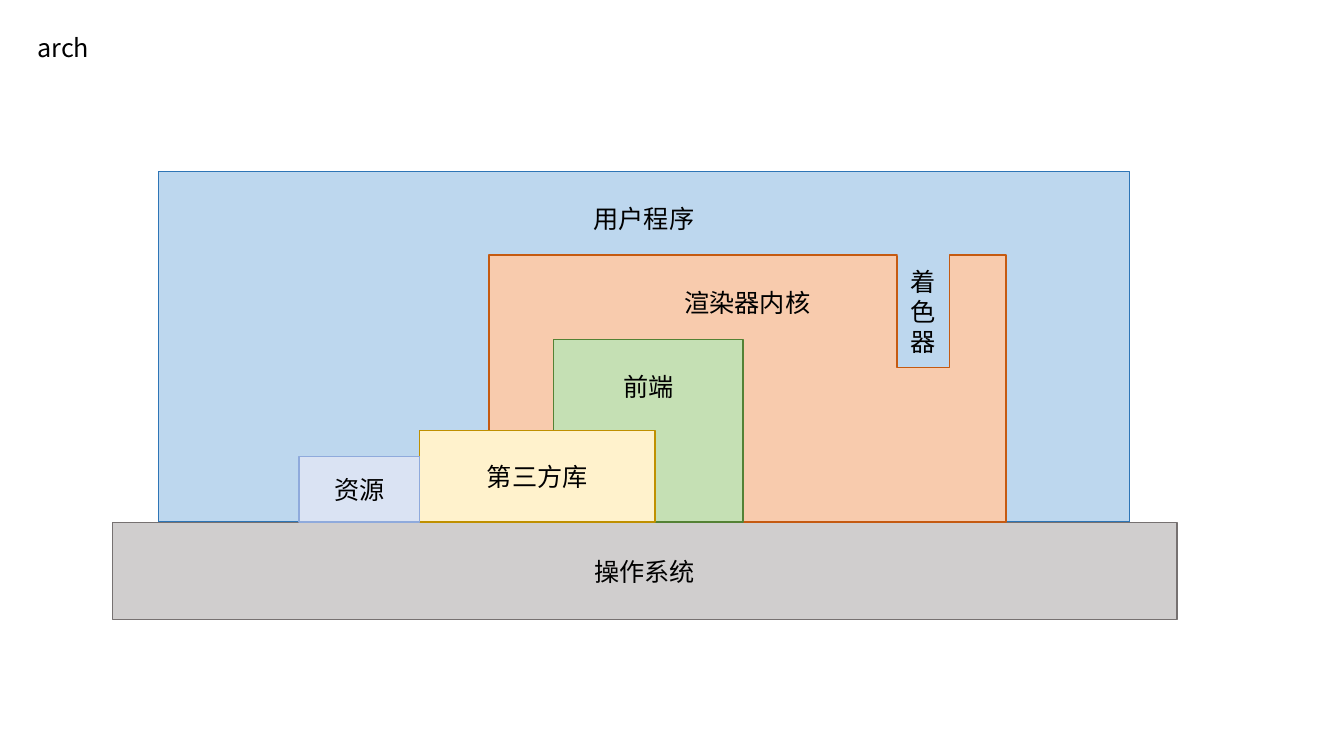
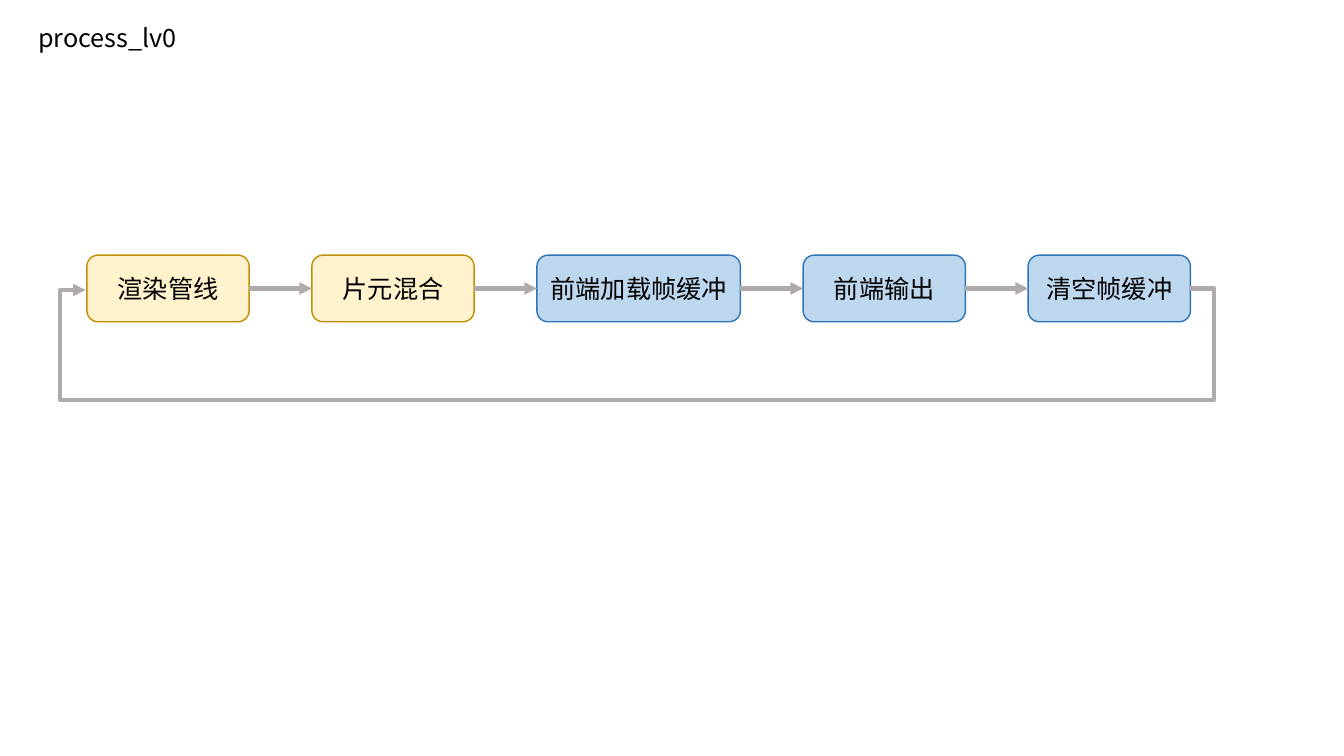
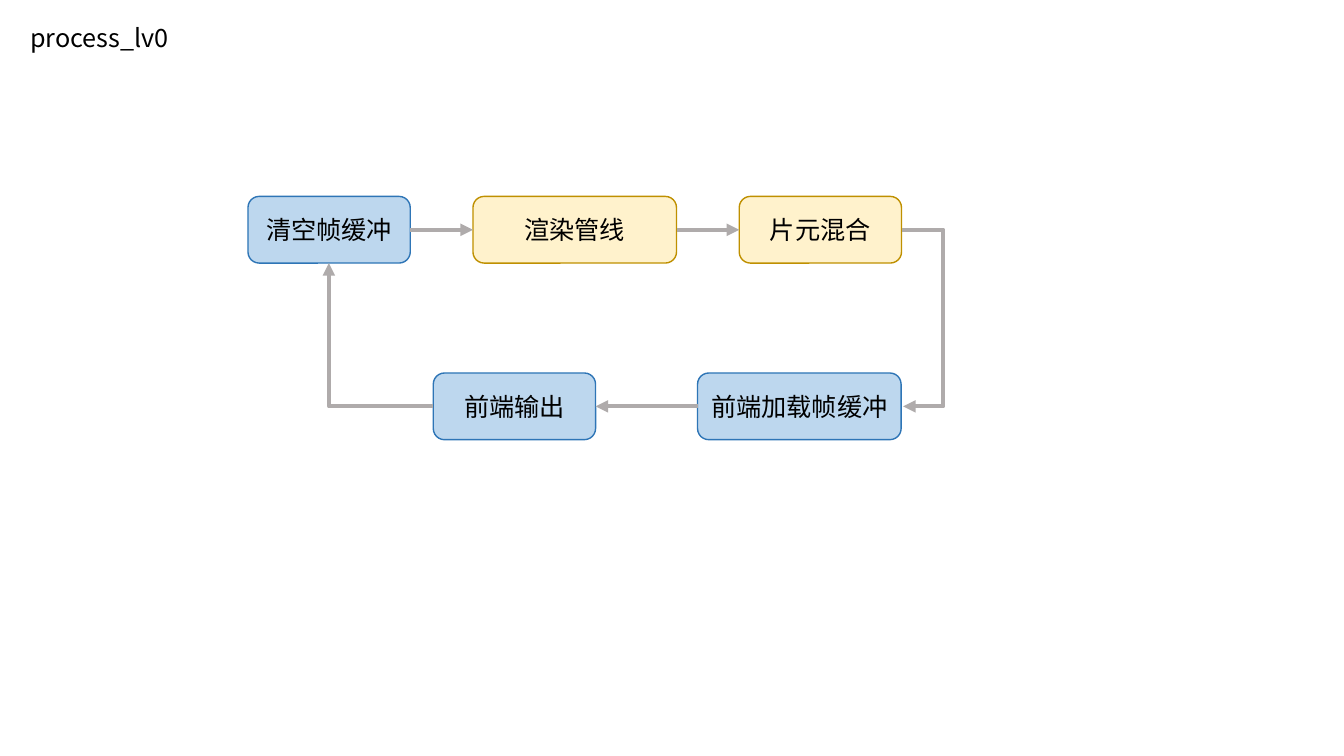
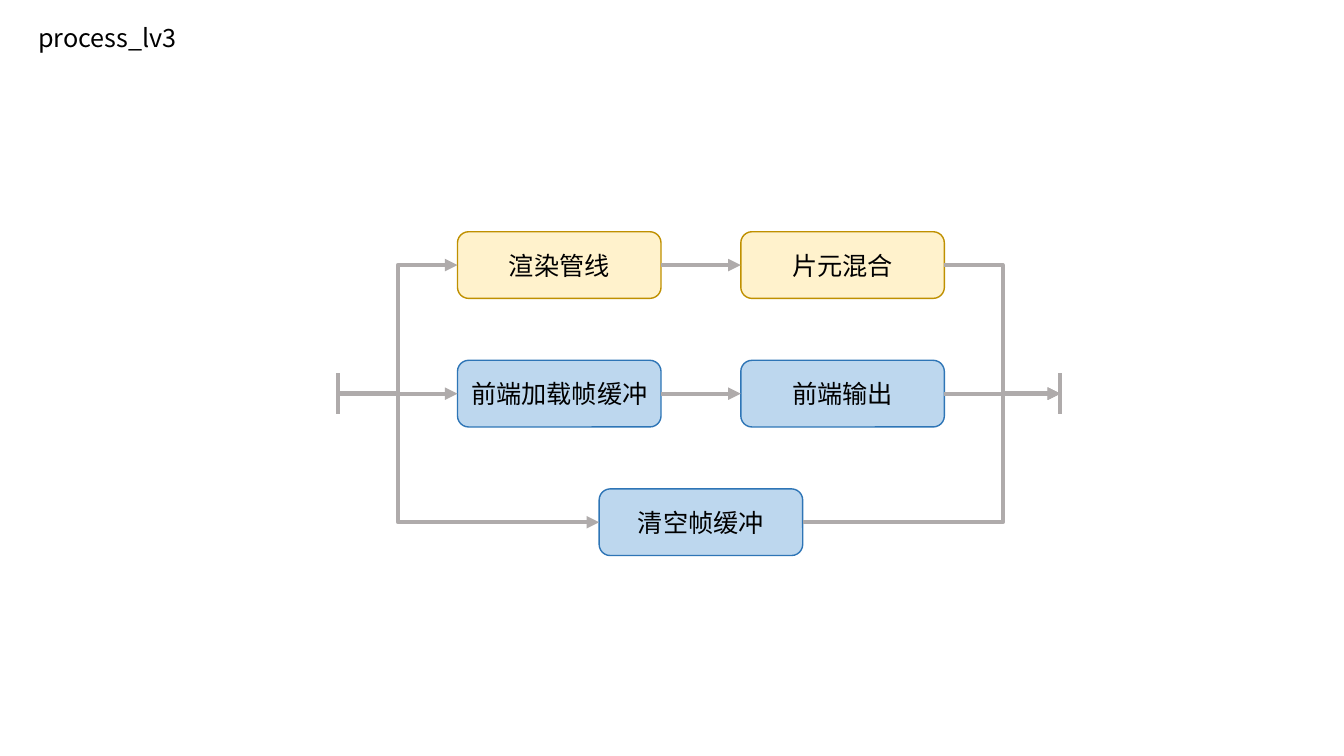
"""Build four slides on a renderer's architecture and processing flow."""
import lxml.etree
import pptx
import pptx.dml.color
import pptx.enum.shapes
import pptx.enum.text
import pptx.oxml.ns
import pptx.util

Cm, Pt = pptx.util.Cm, pptx.util.Pt
RGB = pptx.dml.color.RGBColor.from_string
qn = pptx.oxml.ns.qn
SHAPE = pptx.enum.shapes.MSO_SHAPE
CONNECTOR = pptx.enum.shapes.MSO_CONNECTOR
ANCHOR = pptx.enum.text.MSO_ANCHOR
ALIGN = pptx.enum.text.PP_ALIGN

FONT = "Noto Sans CJK SC"
COLORS = {
    "text": "000000", "arrow": "AFABAB",
    "blue": "BDD7EE", "blue line": "2E75B6",
    "gray": "D0CECE", "gray line": "767171",
    "orange": "F8CBAD", "orange line": "C55A11",
    "green": "C5E0B4", "green line": "548235",
    "yellow": "FFF2CC", "yellow line": "BF9000",
    "pale": "DAE3F3", "pale line": "8FAADC",
}
TEXT_FORMAT = {"name": FONT, "size": Pt(18), "bold": False}
BOX_FRAME = {"word_wrap": True, "vertical_anchor": ANCHOR.MIDDLE}
TOP_FRAME = {"word_wrap": True, "vertical_anchor": ANCHOR.TOP, "margin_top": Cm(0.8)}


def write(sp, text, align, frame):
    """Put one formatted line of text in a shape."""
    tf = sp.text_frame
    for name, value in frame.items():
        setattr(tf, name, value)
    p = tf.paragraphs[0]
    p.alignment = align
    r = p.add_run()
    r.text = text
    r.font.color.rgb = RGB(COLORS["text"])
    for name, value in TEXT_FORMAT.items():
        setattr(r.font, name, value)
    lxml.etree.SubElement(r._r.get_or_add_rPr(), qn("a:ea"), typeface=FONT)


def link(s, pts, head=True):
    """Draw a straight or right-angled connector through points in cm."""
    kind = CONNECTOR.STRAIGHT if len(pts) == 2 else CONNECTOR.ELBOW
    begin, end = pts[0], pts[-1]
    c = s.shapes.add_connector(kind, *[Cm(v) for v in begin + end])
    c.line.width = Pt(3)
    c.line.color.rgb = RGB(COLORS["arrow"])
    spPr = c._element.spPr
    if head:
        lxml.etree.SubElement(spPr.find(qn("a:ln")), qn("a:tailEnd"), type="triangle")
    lxml.etree.SubElement(spPr, qn("a:effectLst"))
    if len(pts) > 2:
        geom = spPr.find(qn("a:prstGeom"))
        geom.set("prst", f"bentConnector{len(pts) - 1}")
        for i in range(1, len(pts) - 2):
            axis = (i + 1) % 2
            ratio = (pts[i][axis] - begin[axis]) / (end[axis] - begin[axis])
            lxml.etree.SubElement(geom.find(qn("a:avLst")), qn("a:gd"),
                                  name=f"adj{i}", fmla=f"val {round(ratio * 100000)}")
    return c


prs = pptx.Presentation()
prs.slide_width, prs.slide_height = Cm(33.87), Cm(19.05)

titles = [
    ("arch", 0.69, 0.69, 2.03),
    ("process_lv0", 0.71, 0.43, 4.32),
    ("process_lv0", 0.51, 0.43, 4.85),
    ("process_lv3", 0.71, 0.43, 4.32),
]
for text, x, y, w in titles:
    s = prs.slides.add_slide(prs.slide_layouts[5])
    sp = s.shapes.title
    for name, value in zip(("left", "top", "width", "height"), (x, y, w, 1.02)):
        setattr(sp, name, Cm(value))
    write(sp, text, ALIGN.LEFT, BOX_FRAME)
arch, loop, cycle, parallel = prs.slides

FLOOR = 13.16
layers = [
    ("用户程序", "blue", "blue line", 4, 4.32, 24.46, FLOOR - 4.32, TOP_FRAME),
    ("操作系统", "gray", "gray line", 2.84, FLOOR, 26.82, 2.46, BOX_FRAME),
    ("渲染器内核", "orange", "orange line", 12.32, 6.43, 13.03, FLOOR - 6.43, TOP_FRAME),
    ("前端", "green", "green line", 13.95, 8.56, 4.78, FLOOR - 8.56, TOP_FRAME),
    ("第三方库", "yellow", "yellow line", 10.57, 10.85, 5.94, FLOOR - 10.85, BOX_FRAME),
    ("资源", "pale", "pale line", 7.54, 11.5, 3.03, FLOOR - 11.5, BOX_FRAME),
    ("着色器", "blue", "orange line", 22.61, 6.43, 1.32, 2.84, BOX_FRAME),
]
for text, fill, line, x, y, w, h, frame in layers:
    sp = arch.shapes.add_shape(SHAPE.RECTANGLE, Cm(x), Cm(y), Cm(w), Cm(h))
    sp.shadow.inherit = False
    sp.fill.solid()
    sp.fill.fore_color.rgb = RGB(COLORS[fill])
    sp.line.color.rgb = RGB(COLORS[line])
    sp.line.width = Pt(1)
    write(sp, text, ALIGN.CENTER, frame)
sp.text_frame.paragraphs[0].line_spacing = Pt(21.5)

opening = arch.shapes.add_shape(SHAPE.ROUNDED_RECTANGLE, Cm(22.61), Cm(5.44), Cm(1.32), Cm(1.12))
opening.shadow.inherit = False
opening.fill.solid()
opening.fill.fore_color.rgb = RGB(COLORS["blue"])
opening.line.fill.background()

NARROW, WIDE, HEIGHT, GAP = 4.09, 5.13, 1.68, 1.58
MID = HEIGHT / 2
PIPELINE, BLEND, LOAD, OUTPUT, CLEAR = "渲染管线", "片元混合", "前端加载帧缓冲", "前端输出", "清空帧缓冲"
LOOP_Y, CYCLE_TOP, CYCLE_BOTTOM = 6.43, 4.95, 9.4
ROWS = [5.84 + 3.24 * i for i in range(3)]
COLUMNS = [11.53, 18.67]
CENTER = sum(COLUMNS) / 2

rows = [
    (loop, 2.19, LOOP_Y, GAP,
     [(PIPELINE, NARROW), (BLEND, NARROW), (LOAD, WIDE), (OUTPUT, NARROW), (CLEAR, NARROW)]),
    (cycle, 6.25, CYCLE_TOP, GAP, [(CLEAR, NARROW), (PIPELINE, WIDE), (BLEND, NARROW)]),
    (cycle, 10.92, CYCLE_BOTTOM, 2.57, [(OUTPUT, NARROW), (LOAD, WIDE)]),
    (parallel, COLUMNS[0], ROWS[0], 2.01, [(PIPELINE, WIDE), (BLEND, WIDE)]),
    (parallel, COLUMNS[0], ROWS[1], 2.01, [(LOAD, WIDE), (OUTPUT, WIDE)]),
    (parallel, CENTER, ROWS[2], 0, [(CLEAR, WIDE)]),
]
for s, x, y, gap, steps in rows:
    last = None
    for text, w in steps:
        color = "yellow" if text in (PIPELINE, BLEND) else "blue"
        sp = s.shapes.add_shape(SHAPE.ROUNDED_RECTANGLE, Cm(x), Cm(y), Cm(w), Cm(HEIGHT))
        sp.shadow.inherit = False
        sp.fill.solid()
        sp.fill.fore_color.rgb = RGB(COLORS[color])
        sp.line.color.rgb = RGB(COLORS[color + " line"])
        sp.line.width = Pt(1)
        write(sp, text, ALIGN.CENTER, BOX_FRAME)
        if last is not None:
            pts = [(x - gap, y + MID), (x, y + MID)]
            backward = y == CYCLE_BOTTOM
            c = link(s, pts[::-1] if backward else pts)
            c.begin_connect(*((sp, 1) if backward else (last, 3)))
            c.end_connect(*((last, 3) if backward else (sp, 1)))
        last = sp
        x += w + gap

mid = LOOP_Y + MID
link(loop, [(29.99, mid), (30.61, mid), (30.61, 10.08), (1.52, 10.08), (1.52, mid + 0.04), (2.16, mid + 0.04)])

top, bottom = CYCLE_TOP + MID, CYCLE_BOTTOM + MID
link(cycle, [(10.92, bottom), (8.29, bottom), (8.29, CYCLE_TOP + HEIGHT)])
link(cycle, [(22.72, top), (23.77, top), (23.77, bottom), (22.76, bottom)])

START, SPLIT, JOIN, END = 8.51, 10.03, 25.27, 26.72
mids = [y + MID for y in ROWS]
edges = [(COLUMNS[0], COLUMNS[1] + WIDE), (CENTER, CENTER + WIDE)]
for y, (left, right) in zip((mids[0], mids[2]), edges):
    link(parallel, [(START, mids[1]), (SPLIT, mids[1]), (SPLIT, y), (left, y)])
    link(parallel, [(right, y), (JOIN, y), (JOIN, mids[1]), (END, mids[1])])
link(parallel, [(START, mids[1]), (edges[0][0], mids[1])])
link(parallel, [(edges[0][1], mids[1]), (END, mids[1])])
for x in (START, END):
    link(parallel, [(x, mids[1] - 0.52), (x, mids[1] + 0.52)], head=False)

prs.save("out.pptx")
